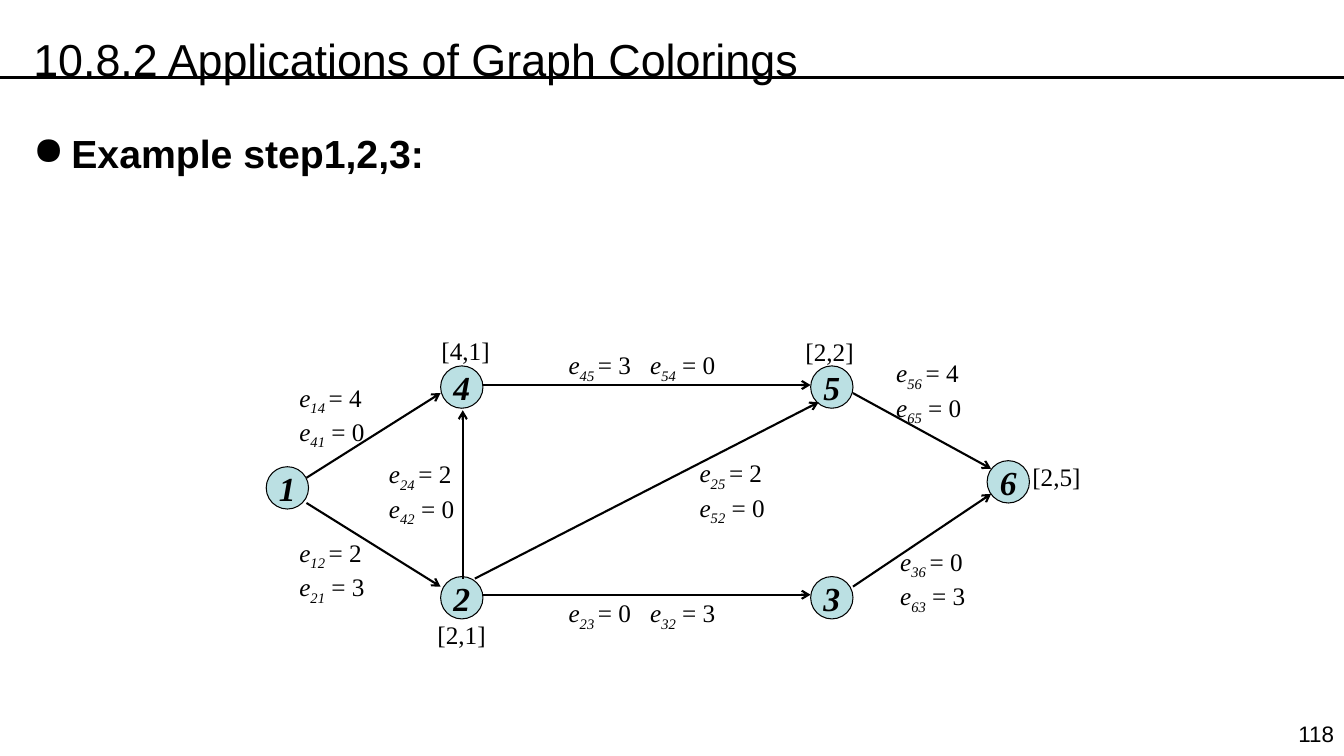
from dataclasses import dataclass

from lxml.etree import SubElement
from pptx import Presentation
from pptx.dml.color import RGBColor
from pptx.enum.shapes import MSO_CONNECTOR, MSO_SHAPE
from pptx.enum.text import MSO_ANCHOR, MSO_AUTO_SIZE, PP_ALIGN
from pptx.oxml.ns import qn
from pptx.util import Pt

SCALE = 9144


@dataclass(frozen=True)
class Theme:
    """Colours, fonts and type sizes of the slide."""

    ink: RGBColor = RGBColor(0, 0, 0)
    node: RGBColor = RGBColor(0xBB, 0xE0, 0xE3)
    sans: str = "Arial"
    serif: str = "Times New Roman"
    title: int = 32
    body: int = 28
    node_text: int = 24
    label: int = 18
    page: int = 16


THEME = Theme()
NODE_SIZE = 42
NODES = {
    "4": (177, 43), "1": (4, 143), "2": (177, 252),
    "3": (544, 252), "5": (544, 43), "6": (719, 137),
}
STACKED_EDGES = [
    ("1", "4", 4, 0, (44, 154, 177, 70), (27, 54)),
    ("1", "2", 2, 3, (44, 179, 177, 262), (27, 208)),
    ("5", "6", 4, 0, (586, 70, 723, 145), (619, 30)),
    ("3", "6", 0, 3, (586, 262, 723, 170), (623, 217)),
    ("2", "5", 2, 0, (211, 254, 552, 79), (424, 129)),
    ("2", "4", 2, 0, (199, 254, 199, 87), (116, 130)),
]
INLINE_EDGES = [
    ("4", "5", 3, 0, (219, 62, 544, 62), (294, 22)),
    ("2", "3", 0, 3, (219, 270, 544, 270), (294, 268)),
]
COLOR_PAIRS = [
    ("[4,1]", 168, 8), ("[2,1]", 164, 289),
    ("[2,2]", 529, 9), ("[2,5]", 754, 133),
]


def px(*lengths):
    """Turn pixel lengths into EMU."""
    return [length * SCALE for length in lengths]


def write_text(shape, paragraphs, *, size, font=THEME.sans, bold=False, italic=False,
               align=PP_ALIGN.LEFT, anchor=MSO_ANCHOR.TOP, spacing=None, wrap=True,
               grow=False, bullet=None, indent=0, tab=None, margin=None):
    """Fill a shape with paragraphs of (text, style) runs; styles are plain, italic and sub."""
    frame = shape.text_frame
    frame.word_wrap = wrap
    frame.auto_size = MSO_AUTO_SIZE.SHAPE_TO_FIT_TEXT if grow else MSO_AUTO_SIZE.NONE
    frame.vertical_anchor = anchor
    if margin is not None:
        frame.margin_left = frame.margin_right = margin
        frame.margin_top = frame.margin_bottom = margin
    for index, runs in enumerate(paragraphs):
        paragraph = frame.add_paragraph() if index else frame.paragraphs[0]
        properties = paragraph._p.get_or_add_pPr()
        if bullet:
            properties.set("marL", str(indent * SCALE))
            properties.set("indent", str(-indent * SCALE))
            SubElement(properties, qn("a:buChar")).set("char", bullet)
        if tab:
            stops = SubElement(properties, qn("a:tabLst"))
            SubElement(stops, qn("a:tab"), pos=str(tab * SCALE), algn="l")
        paragraph.alignment = align
        if spacing:
            paragraph.line_spacing = spacing
        for text, style in runs:
            run = paragraph.add_run()
            run.text = text
            run.font.name = font
            run.font.size = Pt(size)
            run.font.bold = bold
            run.font.italic = italic or style in ("italic", "sub")
            run.font.color.rgb = THEME.ink
            if style == "sub":
                run._r.get_or_add_rPr().set("baseline", "-25000")


def add_text(slide, box, paragraphs, **text_format):
    """Add a text box with formatted text."""
    write_text(slide.shapes.add_textbox(*px(*box)), paragraphs, **text_format)


def add_line(slide, ends, width, arrow=False):
    """Add a straight line, with an open arrowhead if asked for."""
    line = slide.shapes.add_connector(MSO_CONNECTOR.STRAIGHT, *px(*ends))
    line.line.color.rgb = THEME.ink
    line.line.width = Pt(width)
    if arrow:
        SubElement(line.line._get_or_add_ln(), qn("a:tailEnd"), type="arrow")
    SubElement(line._element.spPr, qn("a:effectLst"))


def add_node(slide, left, top, name):
    """Add one numbered vertex of the graph."""
    circle = slide.shapes.add_shape(MSO_SHAPE.OVAL, *px(left, top, NODE_SIZE, NODE_SIZE))
    circle.shadow.inherit = False
    circle.fill.solid()
    circle.fill.fore_color.rgb = THEME.node
    circle.line.color.rgb = THEME.ink
    circle.line.width = Pt(0.75)
    write_text(circle, [[(name, "plain")]], size=THEME.node_text, font=THEME.serif,
               bold=True, italic=True, align=PP_ALIGN.CENTER, anchor=MSO_ANCHOR.MIDDLE,
               wrap=False, margin=0)


def weight_runs(start, end, forward, backward):
    """Return the runs for the weights of an edge in both directions."""
    return (
        [("e", "italic"), (f"{start}{end} ", "sub"), (f"= {forward}", "plain")],
        [("e", "italic"), (f"{end}{start}", "sub"), (f" = {backward}", "plain")],
    )


def add_graph(slide, left, top):
    """Draw the vertices, edges, weights and colour pairs of the graph."""
    label_format = {"size": THEME.label, "font": THEME.serif, "grow": True}
    for name, (x, y) in NODES.items():
        add_node(slide, left + x, top + y, name)
    for *weights, ends, label in STACKED_EDGES + INLINE_EDGES:
        x1, y1, x2, y2 = ends
        add_line(slide, (left + x1, top + y1, left + x2, top + y2), 1.5, arrow=True)
    for *weights, ends, (x, y) in STACKED_EDGES:
        add_text(slide, (left + x, top + y, 87, 70), weight_runs(*weights),
                 wrap=False, **label_format)
    for *weights, ends, (x, y) in INLINE_EDGES:
        forward, backward = weight_runs(*weights)
        add_text(slide, (left + x, top + y, 175, 40),
                 [forward + [("\t", "plain")] + backward], tab=81, **label_format)
    for pair, x, y in COLOR_PAIRS:
        add_text(slide, (left + x, top + y, 68, 40), [[(pair, "plain")]],
                 wrap=False, **label_format)


def add_header(slide, left, top, width, height):
    """Place the title and the rule across the slide."""
    add_line(slide, (0, top + 77, 1333, top + 77), 2.25)
    title = slide.shapes.title
    title.left, title.top, title.width, title.height = px(left, top, width, height)
    write_text(title, [[("10.8.2 Applications of Graph Colorings", "plain")]],
               size=THEME.title, spacing=1.5, grow=True)


def main():
    """Build the slide and save it."""
    presentation = Presentation()
    presentation.slide_width, presentation.slide_height = px(1333, 750)
    slide = presentation.slides.add_slide(presentation.slide_layouts[5])
    add_header(slide, 23, 0, 1209, 81)
    add_text(slide, (23, 100, 1259, 650), [[("Example step1,2,3:", "plain")]],
             size=THEME.body, bold=True, spacing=1.5, bullet="●", indent=38)
    add_graph(slide, 260, 320)
    add_text(slide, (1270, 710, 63, 37), [[("118", "plain")]],
             size=THEME.page, align=PP_ALIGN.RIGHT, grow=True)
    presentation.save("out.pptx")


if __name__ == "__main__":
    main()
